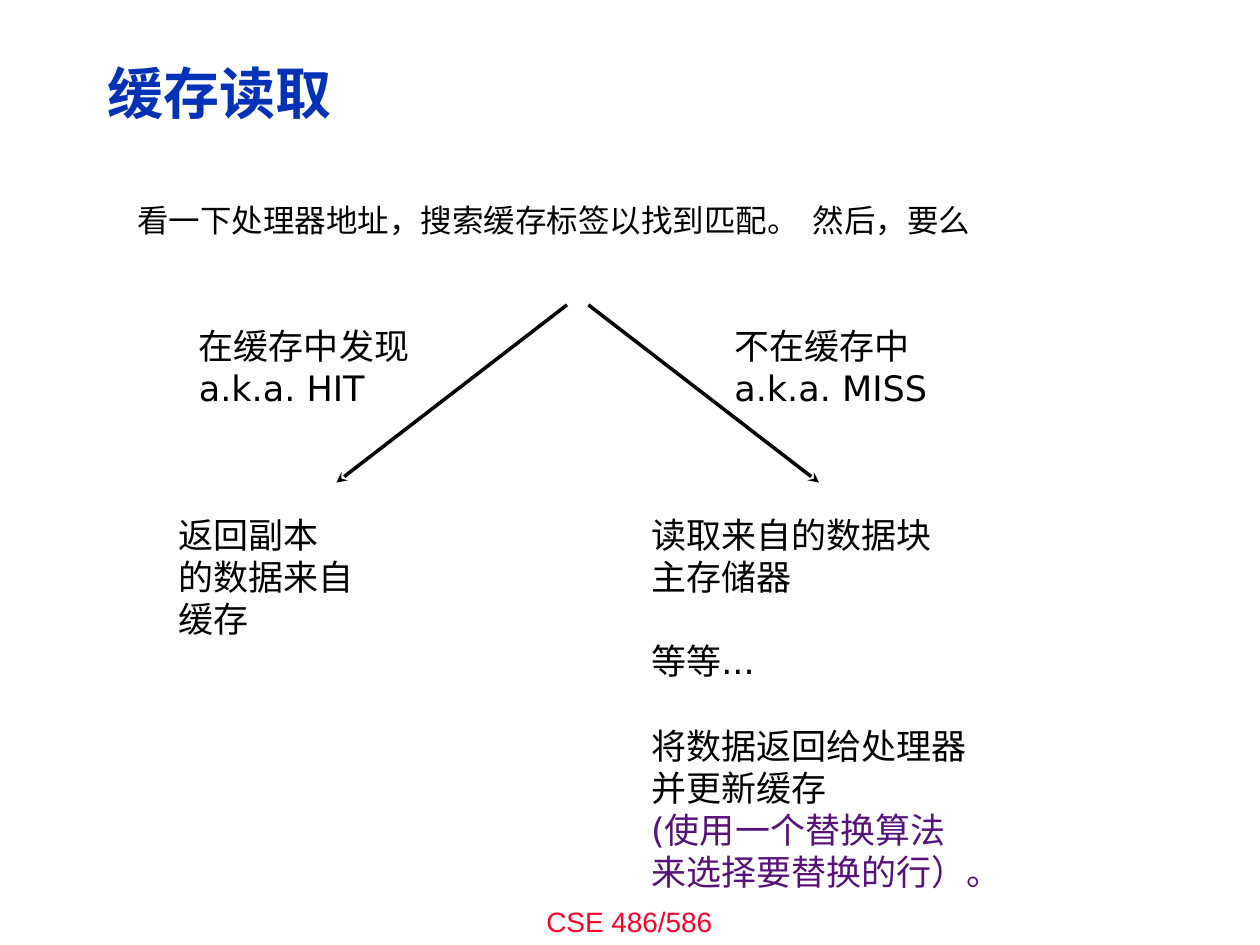
import pptx
import pptx.util
import pptx.dml.color
import pptx.enum.shapes
import pptx.enum.text
import pptx.oxml

TITLE = "缓存读取"
INTRO = "看一下处理器地址，搜索缓存标签以找到匹配。  然后，要么"
FOOTER = "CSE 486/586"
BLACK, BLUE, RED, PURPLE = "000000", "0332B7", "FC0128", "56127A"
LINE_PITCH = 24  # points; also the gap between groups of lines

# Each branch: arrow ends, then boxes of (left, top, width, height) and groups of lines.
BRANCHES = [
    {
        "arrow": ((4.5, 2.42), (2.67, 3.83)),
        "boxes": [
            ((1.48, 2.53, 2.3, 0.77), [["在缓存中发现", "a.k.a. HIT"]]),
            ((1.32, 4.03, 1.93, 1.1), [["返回副本", "的数据来自", "缓存"]]),
        ],
    },
    {
        "arrow": ((4.67, 2.42), (6.5, 3.83)),
        "boxes": [
            ((5.73, 2.53, 1.93, 0.77), [["不在缓存中", "a.k.a. MISS"]]),
            ((5.07, 4.03, 4.41, 3.13), [
                ["读取来自的数据块", "主存储器"],
                ["等等..."],
                ["将数据返回给处理器", "并更新缓存",
                 ("(使用一个替换算法", PURPLE), ("来选择要替换的行）。", PURPLE)],
            ]),
        ],
    },
]


def color(value):
    return pptx.dml.color.RGBColor.from_string(value)


def inches(values):
    return [pptx.util.Inches(value) for value in values]


def place(shape, area):
    shape.left, shape.top, shape.width, shape.height = inches(area)


def add_span(para, text, size, font, fill, bold=False):
    span = para.add_run()
    span.text = text
    span.font.size = pptx.util.Pt(size)
    span.font.name = font
    span.font.bold = bold
    span.font.color.rgb = color(fill)


def add_text_box(page, area):
    frame = page.shapes.add_textbox(*inches(area)).text_frame
    frame.word_wrap = True
    return frame


def fill_placeholder(shape, area, anchor):
    """Place a template placeholder and return its one paragraph, left aligned."""
    place(shape, area)
    frame = shape.text_frame
    frame.auto_size = pptx.enum.text.MSO_AUTO_SIZE.NONE
    frame.vertical_anchor = anchor
    para = frame.paragraphs[0]
    para.alignment = pptx.enum.text.PP_ALIGN.LEFT
    para.line_spacing = 0.9
    return para


def add_groups(page, area, groups):
    frame = add_text_box(page, area)
    para = frame.paragraphs[0]
    for group_index, lines in enumerate(groups):
        for line_index, line in enumerate(lines):
            text, fill = line if isinstance(line, tuple) else (line, BLACK)
            if group_index or line_index:
                para = frame.add_paragraph()
            if group_index and not line_index:
                para.space_before = pptx.util.Pt(LINE_PITCH)
            add_span(para, text, 20, "DejaVu Sans", fill)


def add_arrow(page, start, end):
    arrow = page.shapes.add_connector(
        pptx.enum.shapes.MSO_CONNECTOR.STRAIGHT, *inches(start + end))
    arrow.line.color.rgb = color(BLACK)
    arrow.line.width = pptx.util.Pt(2)
    head = pptx.oxml.parse_xml(
        '<a:tailEnd xmlns:a="http://schemas.openxmlformats.org/drawingml/2006/main"'
        ' type="stealth"/>')
    arrow.line._get_or_add_ln().append(head)
    effects = pptx.oxml.parse_xml(
        '<a:effectLst xmlns:a="http://schemas.openxmlformats.org/drawingml/2006/main"/>')
    arrow._element.spPr.append(effects)


def main():
    deck = pptx.Presentation()
    deck.slide_width, deck.slide_height = inches((10, 7.5))
    page = deck.slides.add_slide(deck.slide_layouts[1])
    anchors = pptx.enum.text.MSO_ANCHOR

    title = fill_placeholder(page.shapes.title, (0.75, 0.36, 7.98, 0.81), anchors.MIDDLE)
    add_span(title, TITLE, 32, "Arial", BLUE, bold=True)

    intro = fill_placeholder(page.placeholders[1], (0.83, 1.58, 8.5, 0.79), anchors.TOP)
    intro.space_before = pptx.util.Pt(5.4)
    properties = intro._p.get_or_add_pPr()
    properties.set("marL", str(pptx.util.Inches(0.16)))
    properties.set("indent", "0")
    properties.append(pptx.oxml.parse_xml(
        '<a:buNone xmlns:a="http://schemas.openxmlformats.org/drawingml/2006/main"/>'))
    add_span(intro, INTRO, 18, "Arial", BLACK)

    for branch in BRANCHES:
        add_arrow(page, *branch["arrow"])
        for area, groups in branch["boxes"]:
            add_groups(page, area, groups)

    footer = add_text_box(page, (3.33, 7.13, 3.33, 0.37))
    footer.vertical_anchor = anchors.MIDDLE
    footer.paragraphs[0].alignment = pptx.enum.text.PP_ALIGN.CENTER
    add_span(footer.paragraphs[0], FOOTER, 16, "Arial", RED)

    deck.save("out.pptx")


if __name__ == "__main__":
    main()
